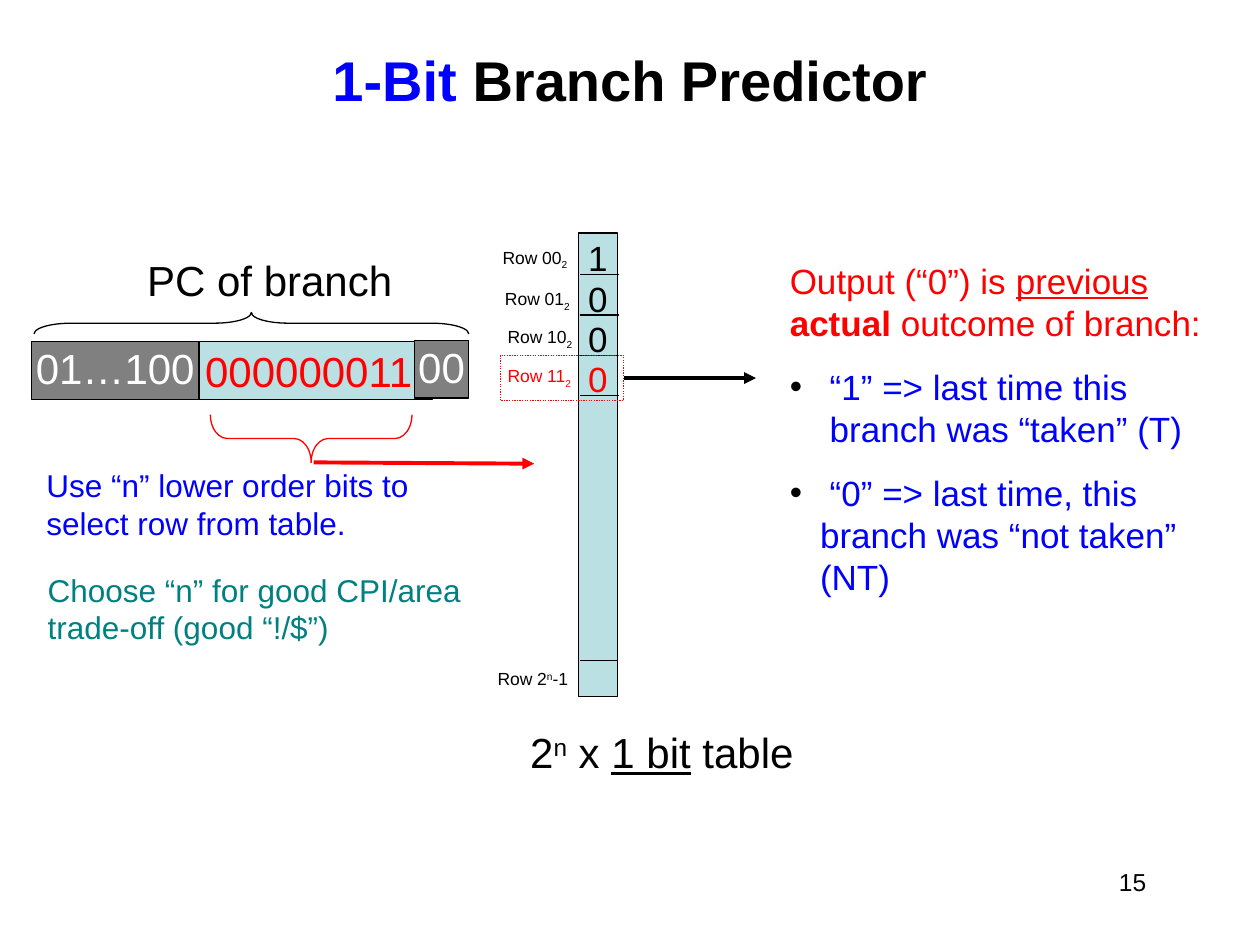
import pptx
import pptx.dml.color
import pptx.enum.dml
import pptx.enum.shapes
import pptx.enum.text
import pptx.oxml
import pptx.oxml.ns
import pptx.util
from pptx.util import Inches

RGBColor = pptx.dml.color.RGBColor
BLACK = RGBColor(0x00, 0x00, 0x00)
WHITE = RGBColor(0xFF, 0xFF, 0xFF)
BLUE = RGBColor(0x00, 0x00, 0xFF)
RED = RGBColor(0xFF, 0x00, 0x00)
TEAL = RGBColor(0x00, 0x80, 0x80)
GRAY = RGBColor(0x80, 0x80, 0x80)
PALE_BLUE = RGBColor(0xBB, 0xE0, 0xE3)

ALIGN = pptx.enum.text.PP_ALIGN
ANCHOR = pptx.enum.text.MSO_ANCHOR
SHAPE = pptx.enum.shapes.MSO_SHAPE
SUBSCRIPT, SUPERSCRIPT = -25000, 30000


def make_element(tag, **attributes):
    element = pptx.oxml.parse_xml(f"<a:{tag} {pptx.oxml.ns.nsdecls('a')}/>")
    for name, value in attributes.items():
        element.set(name, str(value))
    return element


def add_runs(paragraph, runs, size, color):
    """Add (text, formats) runs; "\v" in a text is a line break."""
    for text, formats in runs:
        for index, line in enumerate(text.split("\v")):
            if index:
                paragraph.add_line_break()
            run = paragraph.add_run()
            run.text = line
            values = {"name": "Arial", "size": pptx.util.Pt(size), **formats}
            baseline = values.pop("baseline", None)
            run.font.color.rgb = values.pop("color", color)
            for name, value in values.items():
                setattr(run.font, name, value)
            if baseline:
                run._r.get_or_add_rPr().set("baseline", str(baseline))


def fill_text(shape, runs, size, color, wrap=True, anchor=ANCHOR.TOP, **formats):
    frame = shape.text_frame
    frame.word_wrap = wrap
    frame.vertical_anchor = anchor
    paragraph = frame.paragraphs[0]
    for name, value in {"alignment": ALIGN.LEFT, **formats}.items():
        setattr(paragraph, name, value)
    add_runs(paragraph, runs, size, color)


def add_text(slide, left, top, width, height, runs, size, color=BLACK, **formats):
    shape = slide.shapes.add_textbox(*map(Inches, (left, top, width, height)))
    fill_text(shape, runs, size, color, **formats)
    return shape


def add_shape(slide, kind, left, top, width, height, fill=None, line=BLACK):
    shape = slide.shapes.add_shape(kind, *map(Inches, (left, top, width, height)))
    shape.shadow.inherit = False
    if fill is None:
        shape.fill.background()
    else:
        shape.fill.solid()
        shape.fill.fore_color.rgb = fill
    shape.line.color.rgb = line
    shape.line.width = pptx.util.Pt(0.75)
    return shape


def add_brace(slide, kind, left, top, width, height, curve, line):
    brace = add_shape(slide, kind, left, top, width, height, line=line)
    brace.rotation = 270
    brace.adjustments[0] = curve
    brace.adjustments[1] = 0.5


def add_line(slide, start, end, color=BLACK, width=0.75, arrow=False):
    line = slide.shapes.add_connector(
        pptx.enum.shapes.MSO_CONNECTOR.STRAIGHT, *map(Inches, (*start, *end)))
    line.line.color.rgb = color
    line.line.width = pptx.util.Pt(width)
    if arrow:
        line.line._get_or_add_ln().append(make_element("tailEnd", type="triangle"))
    line._element.spPr.append(make_element("effectLst"))
    return line


def add_title(slide, left, top, width, height):
    add_text(slide, left, top, width, height,
             [("1-Bit", {"color": BLUE}), (" Branch Predictor", {})], 32,
             anchor=ANCHOR.MIDDLE, alignment=ALIGN.CENTER)
    for run in slide.shapes[-1].text_frame.paragraphs[0].runs:
        run.font.bold = True


def add_branch_address(slide, left, top):
    # Heading and brace over the whole address
    add_text(slide, left + 0.82, top, 2.17, 0.48, [("PC of branch", {})], 24,
             wrap=False, line_spacing=0.93)
    add_brace(slide, SHAPE.RIGHT_BRACE, left + 1.66, top - 1.17, 0.17, 3.45, 1.726, BLACK)

    # Address fields
    fields = [
        ("000000011", 1.22, 0.70, 1.96, PALE_BLUE, RED, 1.0),
        ("01…100", 0, 0.70, 1.33, GRAY, WHITE, 0.93),
        ("00", 3.04, 0.69, 0.43, GRAY, WHITE, 0.93),
    ]
    for bits, x, y, width, fill, color, spacing in fields:
        field = add_shape(slide, SHAPE.RECTANGLE, left + x, top + y, width, 0.46, fill)
        fill_text(field, [(bits, {})], 24, color, wrap=False, anchor=ANCHOR.MIDDLE,
                  alignment=ALIGN.CENTER, line_spacing=spacing)

    # Low-order bits select the row
    add_brace(slide, SHAPE.LEFT_BRACE, left + 2.03, top + 0.67, 0.38, 1.6, 0.355, RED)
    add_line(slide, (left + 2.24, top + 1.66), (left + 3.99, top + 1.67), RED, 2.25, True)
    add_text(slide, left + 0.02, top + 1.64, 3.66, 0.71,
             [("Use “n” lower order bits to select row from table.", {})], 18, BLUE)
    add_text(slide, left + 0.03, top + 2.47, 3.66, 0.71,
             [("Choose “n” for good CPI/area trade-off (good “!/$”)", {})], 18, TEAL)


def add_prediction_table(slide, left, top, width, height):
    add_shape(slide, SHAPE.RECTANGLE, left, top, width, height, PALE_BLUE)

    # Rows: number, stored bit, colour, label offset
    rows = [
        ("00", "1", BLACK, -0.70, 0.06),
        ("01", "0", BLACK, -0.68, 0.39),
        ("10", "0", BLACK, -0.66, 0.69),
        ("11", "0", RED, -0.66, 1.00),
    ]
    for index, (number, bit, color, x, y) in enumerate(rows):
        line_y = top + 0.33 + index * 0.32
        add_line(slide, (left + 0.01, line_y), (left + width + 0.01, line_y))
        add_text(slide, left + x, top + y, 0.73, 0.26,
                 [(f"Row {number}", {}), ("2", {"baseline": SUBSCRIPT})], 10, color,
                 wrap=False, line_spacing=0.93)
        add_text(slide, left - 0.02, top - 0.02 + index * 0.32, 0.35, 0.44,
                 [(bit, {})], 20, color, wrap=False)

    # Last row
    add_line(slide, (left + 0.01, top + 3.39), (left + width, top + 3.39))
    add_text(slide, left - 0.74, top + 3.42, 0.78, 0.26,
             [("Row 2", {}), ("n", {"baseline": SUPERSCRIPT}), ("-1", {})], 10,
             wrap=False, line_spacing=0.93)

    # Selected row and its output arrow
    selected = add_shape(slide, SHAPE.RECTANGLE, left - 0.62, top + 0.97, 0.98, 0.36, line=RED)
    selected.line.dash_style = pptx.enum.dml.MSO_LINE.ROUND_DOT
    arrow_y = top + 1.15
    arrow = add_line(slide, (left + 0.36, arrow_y), (left + 1.41, arrow_y), BLACK, 2.25, True)
    arrow.begin_connect(selected, 3)

    # Caption
    add_text(slide, left - 0.48, top + 3.87, 3.57, 0.51,
             [("2", {}), ("n", {"baseline": SUPERSCRIPT}), (" x ", {}),
              ("1 bit", {"underline": True}), (" table", {})], 24)


def add_output_notes(slide, left, top, width, height):
    notes = add_text(slide, left, top, width, height,
                     [("Output (“0”) is ", {}), ("previous", {"underline": True}),
                      (" ", {}), ("actual ", {"bold": True}),
                      ("outcome of branch:", {})], 20, RED)
    for text in (" “1” => last time this\v branch was “taken” (T)",
                 " “0” => last time, this branch was “not taken” (NT)"):
        paragraph = notes.text_frame.add_paragraph()
        paragraph.space_before = pptx.util.Pt(12.5)
        properties = paragraph._p.get_or_add_pPr()
        properties.set("marL", str(Inches(0.24)))
        properties.set("indent", str(Inches(-0.24)))
        bullet_color = make_element("buClr")
        bullet_color.append(make_element("srgbClr", val=BLACK))
        properties.append(bullet_color)
        properties.append(make_element("buFont", typeface="Arial"))
        properties.append(make_element("buChar", char="•"))
        add_runs(paragraph, [(text, {})], 20, BLUE)


def main():
    presentation = pptx.Presentation()
    presentation.slide_width = Inches(10)
    presentation.slide_height = Inches(7.5)
    slide = presentation.slides.add_slide(presentation.slide_layouts[6])

    add_title(slide, 0.75, 0, 8.5, 1.25)
    add_branch_address(slide, 0.25, 2.01)
    add_prediction_table(slide, 4.59, 1.85, 0.31, 3.68)
    add_output_notes(slide, 6.17, 2.01, 3.83, 2.49)
    # Page number
    add_text(slide, 7.17, 6.83, 2.08, 0.5, [("15 ", {})], 14, alignment=ALIGN.RIGHT)

    presentation.save("out.pptx")


if __name__ == "__main__":
    main()
